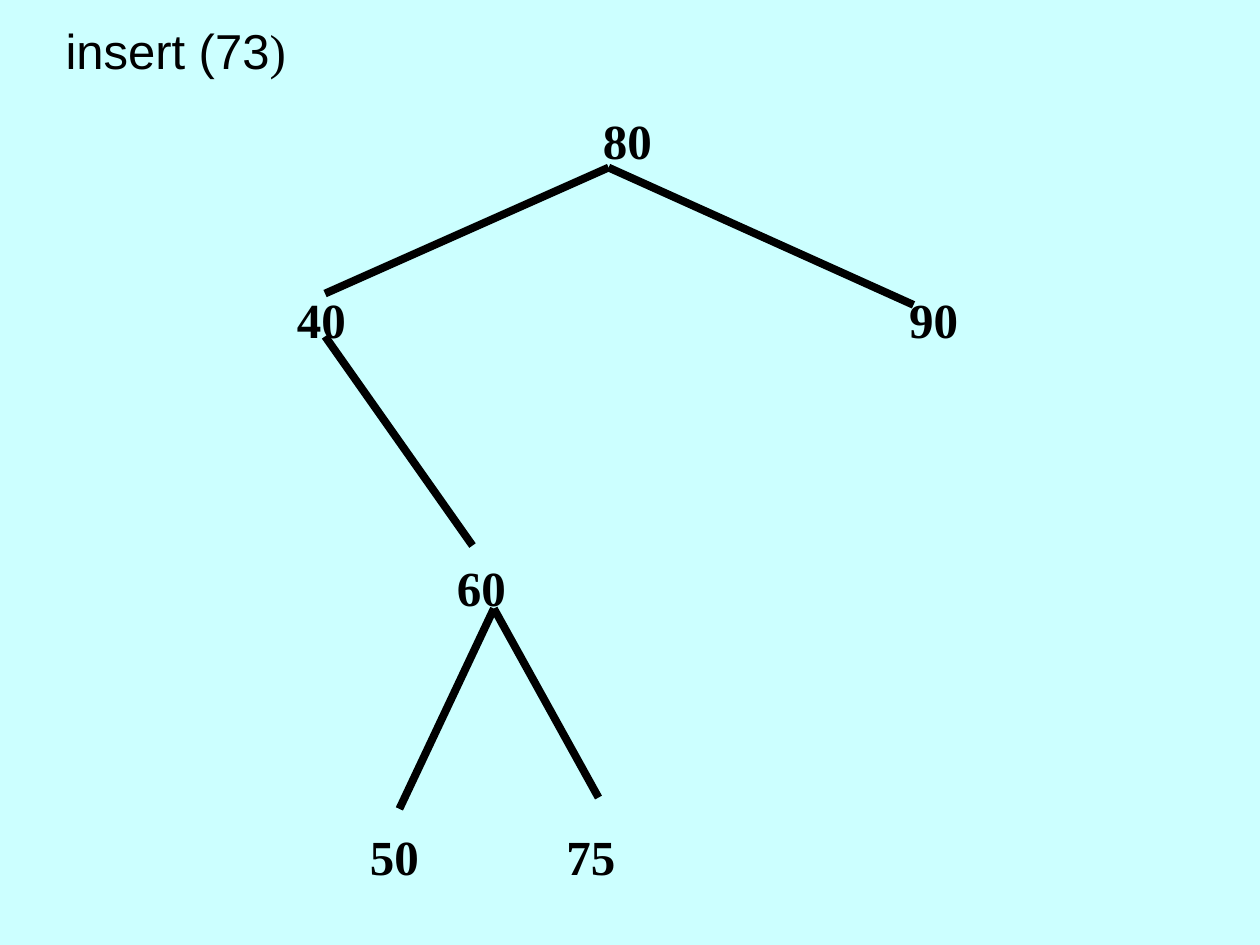
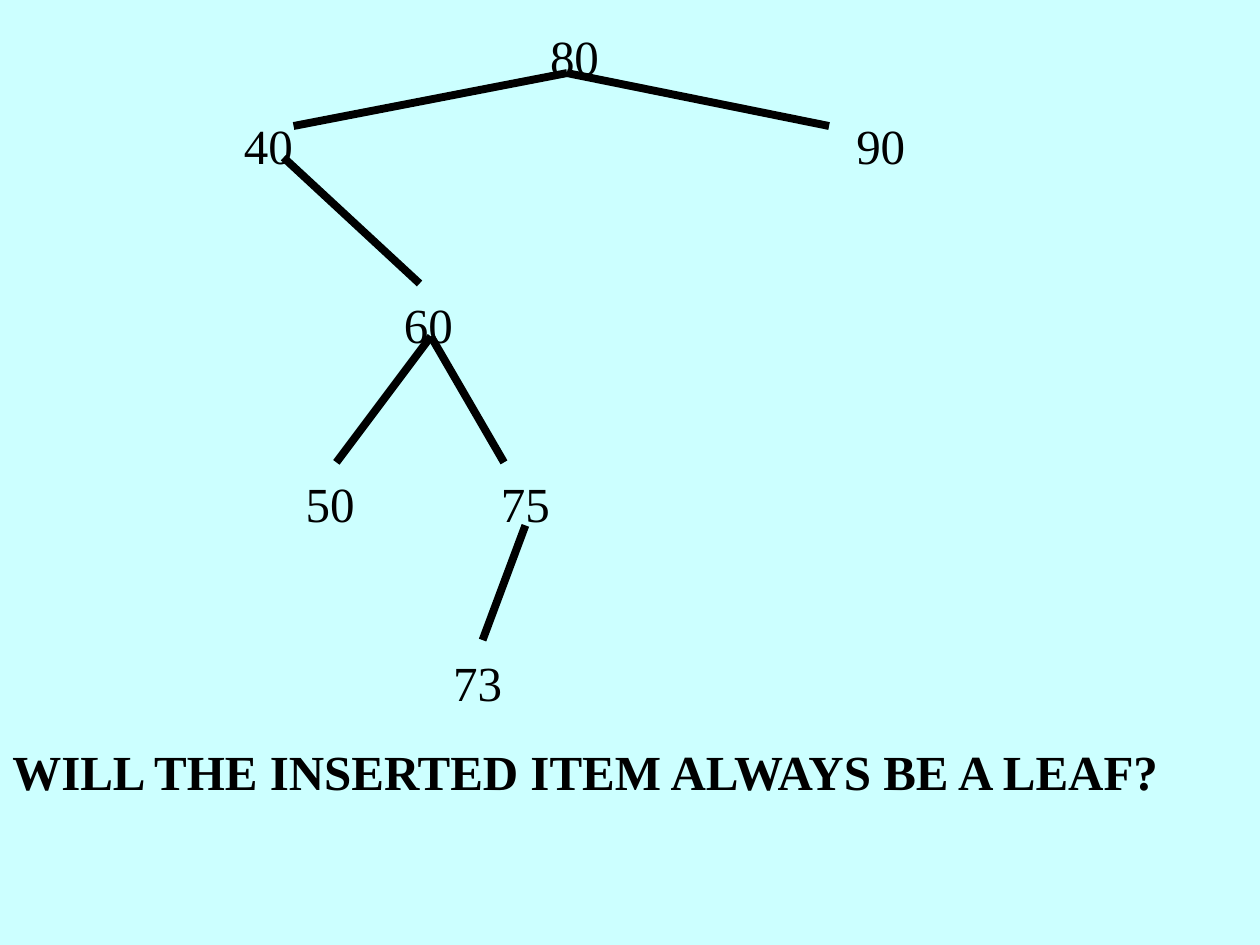
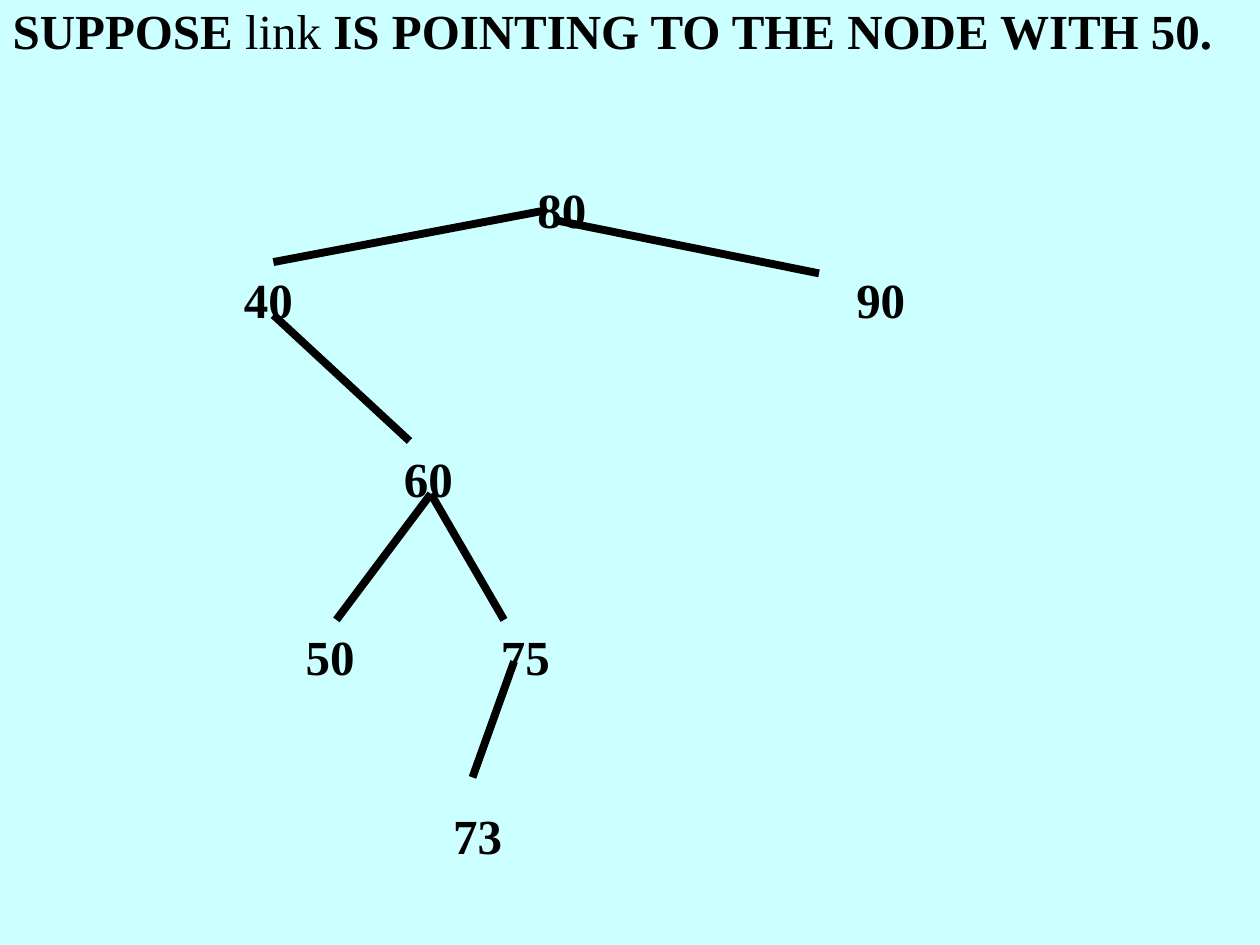
from dataclasses import dataclass, field

from pptx import Presentation
from pptx.dml.color import RGBColor
from pptx.enum.shapes import MSO_CONNECTOR
from pptx.enum.text import MSO_ANCHOR as ANCHOR, MSO_AUTO_SIZE as FIT, PP_ALIGN as ALIGN
from pptx.oxml.ns import qn
from pptx.util import Inches, Pt
from lxml.etree import SubElement

COLORS = {"background": "CCFFFF", "ink": "000000"}
SERIF, SANS = "Times New Roman", "Arial"
TEXT_SIZE = Pt(28)
EDGE_WIDTH = Pt(4.5)
ROW_PITCH = 0.71
LINE_HEIGHT = 0.5
NODE_WIDTH = 0.7
COLUMNS = {"80": 4.56, "40": 2.13, "90": 6.99, "60": 3.4, "50": 2.62, "75": 4.17, "73": 3.79}


@dataclass
class Span:
    text: str
    bold: bool = False
    font: str = SERIF


@dataclass
class Line:
    spans: list[Span]
    left: float
    middle: float
    width: float = 10


@dataclass
class Edge:
    x1: float
    y1: float
    x2: float
    y2: float


@dataclass
class Tree:
    top: float
    rows: dict[str, int]
    edges: list[Edge]
    bold: bool = True
    shift: float = 0
    moved: dict[str, float] = field(default_factory=dict)


@dataclass
class TreeSlide:
    tree: Tree
    title: Line | None = None
    question: Line | None = None


SLIDES = [
    TreeSlide(
        title=Line([Span("insert (73", font=SANS), Span(")")], 0.42, 0.4, 9.17),
        tree=Tree(
            top=1.11,
            rows={"80": 0, "40": 2, "90": 2, "60": 5, "50": 8, "75": 8},
            edges=[
                Edge(4.83, 1.33, 2.58, 2.33),
                Edge(4.83, 1.33, 7.25, 2.42),
                Edge(2.58, 2.67, 3.75, 4.33),
                Edge(3.92, 4.83, 3.17, 6.42),
                Edge(3.92, 4.83, 4.75, 6.33),
            ],
            shift=0.42,
            moved={"50": 0.09, "75": 0.1},
        ),
    ),
    TreeSlide(
        tree=Tree(
            top=0.44,
            rows={"80": 0, "40": 1, "90": 1, "60": 3, "50": 5, "75": 5, "73": 7},
            edges=[
                Edge(4.5, 0.58, 2.33, 1),
                Edge(4.5, 0.58, 6.58, 1),
                Edge(2.25, 1.25, 3.33, 2.25),
                Edge(3.42, 2.67, 2.67, 3.67),
                Edge(3.42, 2.67, 4, 3.67),
                Edge(4.17, 4.17, 3.83, 5.08),
            ],
            bold=False,
        ),
        question=Line([Span("WILL THE INSERTED ITEM ALWAYS BE A LEAF?", True)], 0, 6.12),
    ),
    TreeSlide(
        title=Line(
            [
                Span("SUPPOSE ", True),
                Span("link"),
                Span(" IS POINTING TO THE NODE WITH 50.", True),
            ],
            0,
            0.24,
        ),
        tree=Tree(
            top=1.66,
            rows={"80": 0, "40": 1, "90": 1, "60": 3, "50": 5, "75": 5, "73": 7},
            edges=[
                Edge(4.33, 1.67, 2.17, 2.08),
                Edge(4.42, 1.75, 6.5, 2.17),
                Edge(2.17, 2.5, 3.25, 3.5),
                Edge(3.42, 3.92, 2.67, 4.92),
                Edge(3.42, 3.92, 4, 4.92),
                Edge(4.08, 5.25, 3.75, 6.17),
            ],
            moved={"80": -0.1},
        ),
    ),
]


def color(name: str) -> RGBColor:
    return RGBColor.from_string(COLORS[name])


def write_line(sp, line: Line, align=ALIGN.LEFT) -> None:
    sp.left, sp.top = Inches(line.left), Inches(line.middle - LINE_HEIGHT / 2)
    sp.width, sp.height = Inches(line.width), Inches(LINE_HEIGHT)
    tf = sp.text_frame
    tf.word_wrap = True
    tf.auto_size = FIT.NONE
    tf.vertical_anchor = ANCHOR.MIDDLE
    tf.margin_left = tf.margin_right = Inches(0.1)
    tf.margin_top = tf.margin_bottom = 0
    p = tf.paragraphs[0]
    p.alignment = align
    for span in line.spans:
        r = p.add_run()
        r.text = span.text
        r.font.name, r.font.size, r.font.bold = span.font, TEXT_SIZE, span.bold
        r.font.color.rgb = color("ink")


def add_line(s, line: Line, align=ALIGN.LEFT) -> None:
    write_line(s.shapes.add_textbox(0, 0, 0, 0), line, align)


def add_edge(s, edge: Edge) -> None:
    sp = s.shapes.add_connector(
        MSO_CONNECTOR.STRAIGHT,
        Inches(edge.x1), Inches(edge.y1), Inches(edge.x2), Inches(edge.y2),
    )
    sp.line.color.rgb = color("ink")
    sp.line.width = EDGE_WIDTH
    SubElement(sp._element.spPr, qn("a:effectLst"))


def add_tree(s, tree: Tree) -> None:
    for label, row in tree.rows.items():
        center = COLUMNS[label] + tree.shift + tree.moved.get(label, 0)
        middle = tree.top + row * ROW_PITCH
        node = Line([Span(label, tree.bold)], center - NODE_WIDTH / 2, middle, NODE_WIDTH)
        add_line(s, node, ALIGN.CENTER)
    for edge in tree.edges:
        add_edge(s, edge)


def add_slide(prs, content: TreeSlide) -> None:
    layout = "Title Only" if content.title else "Blank"
    s = prs.slides.add_slide(prs.slide_layouts.get_by_name(layout))
    if content.title:
        write_line(s.shapes.title, content.title)
    add_tree(s, content.tree)
    if content.question:
        add_line(s, content.question)


def main() -> None:
    prs = Presentation()
    prs.slide_width, prs.slide_height = Inches(10), Inches(7.5)
    fill = prs.slide_master.background.fill
    fill.solid()
    fill.fore_color.rgb = color("background")
    for content in SLIDES:
        add_slide(prs, content)
    prs.save("out.pptx")


if __name__ == "__main__":
    main()
